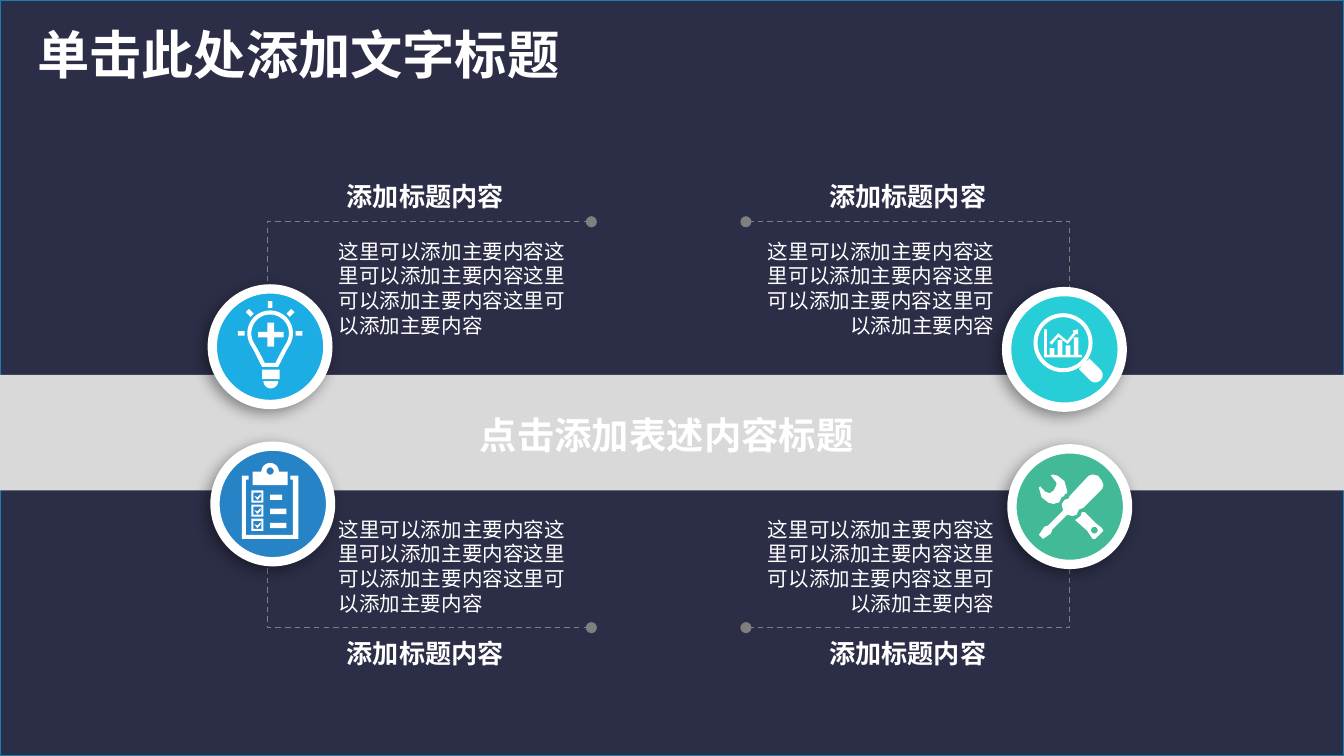
import dataclasses
import math

import lxml.etree
import pptx
import pptx.dml.color
import pptx.enum.shapes
import pptx.enum.text
import pptx.oxml
import pptx.oxml.ns
import pptx.util

SHAPE = pptx.enum.shapes.MSO_SHAPE
ALIGN = pptx.enum.text.PP_ALIGN
WIDTH = pptx.util.Inches(10)
HEIGHT = WIDTH * 9 // 16
UNIT = WIDTH / 100
ICON_GRID = 86


@dataclasses.dataclass(frozen=True)
class Theme:
    font: str = "Noto Sans CJK SC"
    night: str = "2C2E47"
    edge: str = "1580A9"
    band: str = "D9D9D9"
    guide: str = "7F7F7F"
    white: str = "FFFFFF"
    blue: str = "1CADE4"
    navy: str = "2683C6"
    cyan: str = "27CED7"
    green: str = "42BA97"
    heading: int = 28
    banner: int = 20
    subhead: int = 14
    body: int = 11


THEME = Theme()


def units(*lengths):
    return [round(length * UNIT) for length in lengths]


def rgb(value):
    return pptx.dml.color.RGBColor.from_string(value)


def append_xml(parent, markup):
    parent.append(pptx.oxml.parse_xml(
        markup.replace("/>", f' {pptx.oxml.ns.nsdecls("a")}/>', 1)
        if markup.endswith("/>") and markup.count("<") == 1
        else markup.replace(">", f' {pptx.oxml.ns.nsdecls("a")}>', 1)))


def paint(shape, fill=None, line=None, weight=1):
    shape.shadow.inherit = False
    for part, color in ((shape.fill, fill), (shape.line.fill, line)):
        if color:
            part.solid()
            part.fore_color.rgb = rgb(color)
        else:
            part.background()
    if line:
        shape.line.width = pptx.util.Pt(weight)
    return shape


def write(slide, box, words, size, bold=False, align=ALIGN.LEFT, wrap=True, inset=(0.7, 0.35)):
    frame = slide.shapes.add_textbox(*units(*box)).text_frame
    across, down = units(*inset)
    layout = {"word_wrap": wrap, "margin_left": across, "margin_right": across,
              "margin_top": down, "margin_bottom": down}
    for key, value in layout.items():
        setattr(frame, key, value)
    paragraph = frame.paragraphs[0]
    paragraph.alignment = align
    run = paragraph.add_run()
    run.text = words
    for key, value in {"name": THEME.font, "size": pptx.util.Pt(size), "bold": bold}.items():
        setattr(run.font, key, value)
    run.font.color.rgb = rgb(THEME.white)
    append_xml(run.font._element, f'<a:ea typeface="{THEME.font}"/>')


def outline(slide, contours, closed=True):
    first, *others = contours
    builder = slide.shapes.build_freeform(*first[0])
    builder.add_line_segments(first[1:], close=closed)
    for contour in others:
        builder.move_to(*contour[0])
        builder.add_line_segments(contour[1:], close=closed)
    return builder.convert_to_shape()


def arc(x, y, radius, start=0, end=360):
    steps = max(8, (end - start) // 8)
    angles = [math.radians(start + (end - start) * i / steps) for i in range(steps + 1)]
    return [(x + radius * math.cos(a), y + radius * math.sin(a)) for a in angles]


def block(left, top, right, bottom):
    return [(left, top), (right, top), (right, bottom), (left, bottom)]


def ray(x, y, near, far, half, degrees):
    c, s = math.cos(math.radians(degrees)), math.sin(math.radians(degrees))
    return [(x + c * r - s * t, y + s * r + c * t)
            for r, t in ((near, -half), (far, -half), (far, half), (near, half))]


def bulb():
    glass = arc(43, 33, 17, 150, 390) + [(55, 46), (51, 54), (49, 58), (37, 58), (35, 54), (31, 46)]
    hollow = arc(43, 33, 14, 150, 390) + [(52.5, 44.5), (49, 51), (47, 55), (39, 55), (37, 51), (33.5, 44.5)]
    plus = [(41, 25), (46, 25), (46, 32), (53, 32), (53, 36), (46, 36),
            (46, 43), (41, 43), (41, 36), (34, 36), (34, 32), (41, 32)]
    rays = [ray(43, 33, 19, 24, 1.7, angle) for angle in range(180, 361, 45)]
    return [glass, hollow, plus, block(37, 60, 50, 67), arc(43.5, 68.5, 5.5, 0, 180), *rays]


def checklist():
    board = [(25, 22), (20, 22), (20, 69), (62, 69), (62, 22), (56, 22),
             (56, 25), (58, 25), (58, 66), (23, 66), (23, 25), (25, 25)]
    clip = [(28, 19)] + arc(41, 19, 6.5, 180, 360) + [(54, 19), (54, 29), (28, 29)]
    contours = [board, clip, arc(41, 18.5, 2.7)]
    for row, end in enumerate((50, 53, 53)):
        y = 33 + 10.5 * row
        tick = [(29.2, y + 4), (31.5, y + 5), (34, y + 2.5), (34, y + 4.5), (31.5, y + 7)]
        contours += [block(27, y, 36, y + 9), block(28.5, y + 1.5, 34.5, y + 7.5),
                     tick, block(41, y + 3, end, y + 7)]
    return contours


def magnifier():
    handle = arc(66, 62, 5.5, -45, 135) + [(53.8, 57.6), (61.6, 49.8)]
    axes = [(28, 28), (30, 28), (30, 47), (56, 47), (56, 49), (28, 49)]
    trend = [(32, 38), (38.5, 31), (45, 36.5), (50, 30.5), (49, 29), (53, 28),
             (53, 32), (51.8, 31.2), (45.5, 39), (38.5, 33.5), (33.5, 39.5)]
    bars = [block(32 + 6 * i, top, 35.5 + 6 * i, 47) for i, top in enumerate((42, 36, 40, 34))]
    return [arc(42, 38, 22), arc(42, 38, 19), handle, axes, trend, *bars]


def tools():
    driver = [(67, 24), (64, 20), (60, 19), (57, 20), (43, 35), (42, 37), (39, 38), (37, 41),
              (38, 46), (27, 57), (24, 58), (20, 64), (23, 67), (29, 63), (30, 60), (41, 49),
              (45, 50), (48, 49), (50, 45), (53, 44), (67, 30), (68, 27)]
    jaw = [(37, 36), (39, 35), (39, 34), (41, 33), (41, 31), (39, 24), (34, 20), (30, 19),
           (29, 20), (33, 25), (33, 27), (31, 31), (28, 33), (25, 32), (21, 28), (20, 29),
           (22, 36), (27, 40), (31, 41), (34, 40), (35, 40)]
    shaft = [(52, 47), (51, 50), (47, 53), (56, 61), (60, 67), (62, 67),
             (68, 61), (67, 59), (62, 55), (54, 47)]
    return [driver, jaw, shaft, arc(61.3, 60.5, 2.5)]


def badge(slide, box, color, icon):
    left, top, width, height = units(*box)
    disc = slide.shapes.add_shape(SHAPE.OVAL, left, top, width, height)
    paint(disc, color, THEME.white, 5)
    effects = disc._element.spPr.find(pptx.oxml.ns.qn("a:effectLst"))
    append_xml(effects, '<a:outerShdw blurRad="101600" dist="38100" dir="8100000">'
                        '<a:srgbClr val="000000"><a:alpha val="40000"/></a:srgbClr></a:outerShdw>')
    cell = width / ICON_GRID
    paint(outline(slide, [[(left + x * cell, top + y * cell) for x, y in contour]
                          for contour in icon()]), THEME.white)


def guide(slide, box, right, lower):
    left, top, width, height = box
    elbow = [(0, 8.9), (0, 3.4), (width, 3.4)]
    path = [units(left + (width - x if right else x), top + (height - y if lower else y))
            for x, y in elbow]
    line = paint(outline(slide, [path], closed=False), line=THEME.guide, weight=0).line
    line.dash_style = pptx.enum.dml.MSO_LINE.DASH
    for end in ("headEnd", "tailEnd"):
        append_xml(line._get_or_add_ln(), f'<a:{end} type="oval"/>')


def caption(slide, box, right, lower, title, body):
    left, top, _, height = box
    span = 23.8
    align = ALIGN.RIGHT if right else ALIGN.LEFT
    for words, size, bold, x, y, w, h in (
            (title, THEME.subhead, True, 5.2, height - 3 if lower else 0, 13.1, 3),
            (body, THEME.body, False, 4.6, 0.4 if lower else 4.3, 19.2, 8.1)):
        x = span - x - w if right else x
        write(slide, (left + x, top + y, w, h), words, size, bold, align)


def background(slide, box):
    paint(slide.shapes.add_shape(SHAPE.RECTANGLE, *units(*box)), THEME.night, THEME.edge)
    write(slide, (1.8, 1.2, 41.3, 5.7), "单击此处添加文字标题", THEME.heading, True,
          wrap=False, inset=(1, 0.5))


def banner(slide, box):
    left, top, width, _ = box
    paint(slide.shapes.add_shape(SHAPE.RECTANGLE, *units(*box)), THEME.band)
    write(slide, (left + 0.35 * width, top + 2.4, 29.4, 4.1), "点击添加表述内容标题",
          THEME.banner, True, wrap=False)


def main():
    deck = pptx.Presentation()
    deck.slide_width, deck.slide_height = WIDTH, HEIGHT
    slide = deck.slides.add_slide(deck.slide_layouts[6])
    title, body = "添加标题内容", "这里可以添加主要内容" * 4
    badges = (((15.8, 21.5), THEME.blue, bulb), ((16, 33.2), THEME.navy, checklist),
              ((74.9, 21.7), THEME.cyan, magnifier), ((75.3, 33.4), THEME.green, tools))
    quadrants = [((55.5 if right else 19.9, 37.7 if lower else 13.1, 24.1, 12.4), right, lower)
                 for lower in (False, True) for right in (False, True)]
    background(slide, (0, 0, 100, 56.25))
    for quadrant in quadrants:
        guide(slide, *quadrant)
    banner(slide, (0, 27.9, 100, 8.6))
    for corner, color, icon in badges:
        badge(slide, (*corner, 8.6, 8.6), color, icon)
    for quadrant in quadrants:
        caption(slide, *quadrant, title, body)
    deck.save("out.pptx")


if __name__ == "__main__":
    main()
